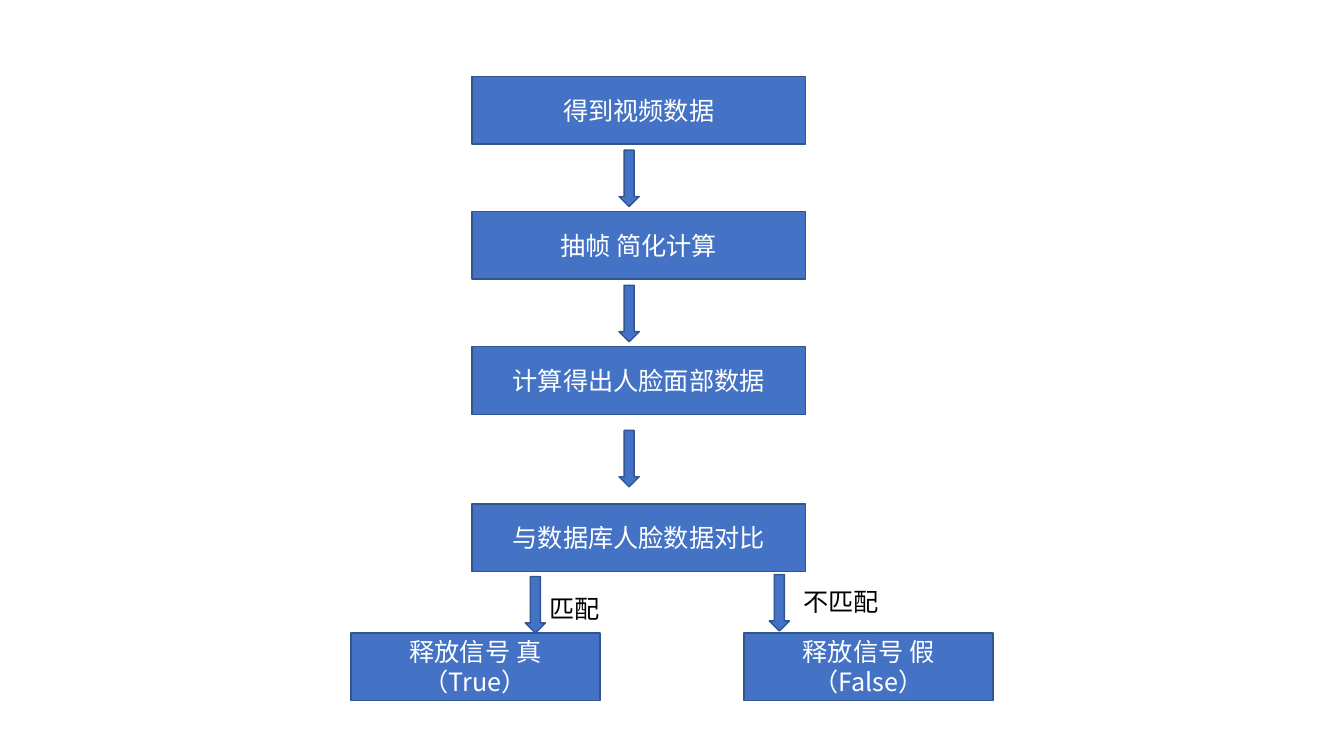
from dataclasses import dataclass

from lxml import etree
from pptx import Presentation, util as u
from pptx.dml.color import RGBColor
from pptx.enum import shapes, text
from pptx.oxml.ns import qn


@dataclass(frozen=True)
class Theme:
    """Colours, font and sizes of the flow chart."""
    fill: str = "4472C4"
    edge: str = "325491"
    light: str = "FFFFFF"
    dark: str = "000000"
    font: str = "Noto Sans CJK SC"
    size: int = 18
    line: int = 1


THEME = Theme()
HIGH = 0.67
ARROW = (0.2, 0.56)
STEPS = [
    ("得到视频数据", 0),
    ("抽帧 简化计算", 1.34),
    ("计算得出人脸面部数据", 2.68),
    ("与数据库人脸数据对比", 4.24),
]
DROPS = [0.73, 2.07, 3.51]
ENDS = [
    ("释放信号 真（True）", 0, "匹配", (1.73, 0.02), (1.87, 0.14, 0.71)),
    ("释放信号 假（False）", 3.9, "不匹配", (4.15, 0), (4.39, 0.07, 0.96)),
]


def format_all(item, values):
    """Set every attribute in values on item."""
    for name, value in values.items():
        setattr(item, name, value)


def write(shape, words, color, align, **frame):
    """Put one formatted paragraph into shape."""
    format_all(shape.text_frame, frame)
    para = shape.text_frame.paragraphs[0]
    para.alignment = align
    run = para.add_run()
    run.text = words
    format_all(run.font, {"name": THEME.font, "size": u.Pt(THEME.size)})
    run.font.color.rgb = RGBColor.from_string(color)
    face = etree.SubElement(run.font._element, qn("a:ea"))
    face.set("typeface", THEME.font)


def block(slide, kind, *box):
    """Add a blue outlined shape at box."""
    shape = slide.shapes.add_shape(kind, *map(u.Inches, box))
    shape.shadow.inherit = False
    shape.fill.solid()
    shape.fill.fore_color.rgb = RGBColor.from_string(THEME.fill)
    shape.line.color.rgb = RGBColor.from_string(THEME.edge)
    shape.line.width = u.Pt(THEME.line)
    return shape


def process(slide, words, *box):
    """Add a process box with centred words."""
    shape = block(slide, shapes.MSO_SHAPE.FLOWCHART_PROCESS, *box)
    write(shape, words, THEME.light, text.PP_ALIGN.CENTER,
          word_wrap=True, vertical_anchor=text.MSO_ANCHOR.MIDDLE)


def arrow(slide, left, top):
    """Add a down arrow."""
    block(slide, shapes.MSO_SHAPE.DOWN_ARROW, left, top, *ARROW)


def label(slide, words, *box):
    """Add a branch label."""
    shape = slide.shapes.add_textbox(*map(u.Inches, box))
    write(shape, words, THEME.dark, text.PP_ALIGN.LEFT, word_wrap=False,
          auto_size=text.MSO_AUTO_SIZE.SHAPE_TO_FIT_TEXT)


def steps(slide, left, top, width):
    """Draw the column of steps and the arrows between them."""
    for words, down in STEPS:
        process(slide, words, left, top + down, width, HIGH)
    for down in DROPS:
        arrow(slide, left + 1.46, top + down)


def ends(slide, left, top, width):
    """Draw both outcomes with their arrows and labels."""
    for words, shift, name, (dx, dy), (lx, ly, wide) in ENDS:
        process(slide, words, left + shift, top + 0.58, width, HIGH)
        arrow(slide, left + dx, top + dy)
        label(slide, name, left + lx, top + ly, wide, 0.4)


def main():
    """Build and save the slide."""
    deck = Presentation()
    format_all(deck, {"slide_width": u.Inches(13.33),
                      "slide_height": u.Inches(7.5)})
    slide = deck.slides.add_slide(deck.slide_layouts[6])
    steps(slide, 4.68, 0.76, 3.31)
    ends(slide, 3.48, 5.7, 2.47)
    deck.save("out.pptx")


main()
